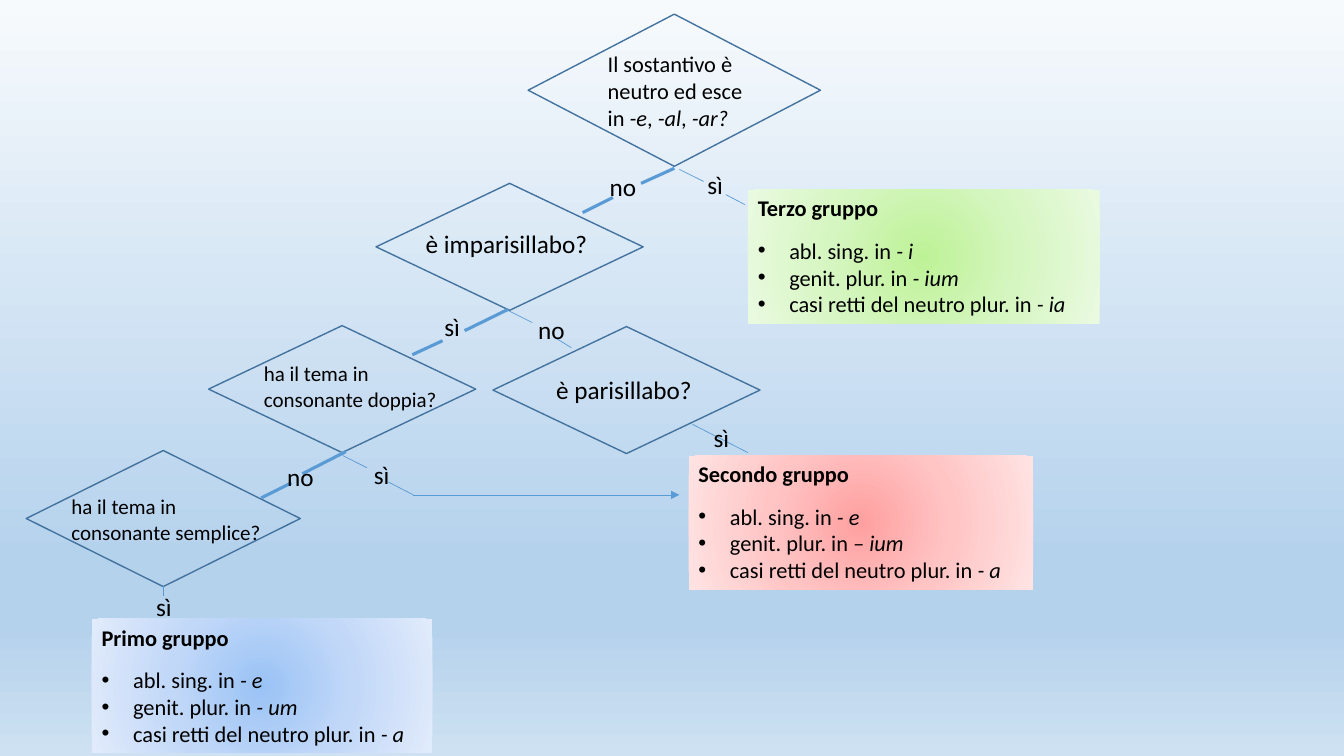
from lxml.etree import SubElement
from pptx import Presentation
from pptx.dml.color import RGBColor
from pptx.enum.shapes import MSO_CONNECTOR, MSO_SHAPE
from pptx.enum.text import MSO_ANCHOR, PP_ALIGN
from pptx.oxml.ns import qn
from pptx.util import Pt

SKY = [(0, "F7FAFD"), (74, "B5D2EC"), (83, "B5D2EC"), (100, "CEE1F2")]
EDGE, LINK, INK = "43739E", "5B9BD5", "000000"
LEFT, MID = PP_ALIGN.LEFT, PP_ALIGN.CENTER

# Text between asterisks is italic.
# diamond box, text box, size, alignment, text
TESTS = [
    ((377.3, 10.1, 208.8, 108.7), (427, 32.4, 115.9, 65.5), 16, LEFT,
     "Il sostantivo è neutro ed esce in *-e*, *-al*, *-ar?*"),
    ((268.6, 131, 190.8, 90.7), (294.5, 159.8, 134.6, 28.8), 18, MID,
     "è imparisillabo?"),
    ((352.1, 233.3, 190.8, 90.7), (380.2, 264.2, 131, 28.8), 18, MID,
     "è parisillabo?"),
    ((149, 232.6, 190.8, 90.7), (181.4, 254.2, 146.9, 43.9), 15, LEFT,
     "ha il tema in consonante doppia?"),
    ((18.7, 321.8, 195.8, 97.2), (43.9, 349.2, 162, 43.9), 15, LEFT,
     "ha il tema in consonante semplice?"),
]

REPLIES = {
    "no": [(428.4, 118.8), (377.3, 221), (198, 326.2)],
    "sì": [(498.2, 117.4), (310.3, 218.9), (502.6, 298.1),
           (259.9, 324.7), (104.4, 419)],
}

# left, top, width, title, endings, colours from the centre out
GROUPS = [
    (534.2, 135.4, 251.3, "Terzo gruppo", ("- i", "- ium", "- ia"),
     ("BEF297", "D5F6C0", "EAFAE0")),
    (491.8, 325.4, 246.2, "Secondo gruppo", ("- e", "– ium", "- a"),
     ("FFA0A0", "FFC5C5", "FFE3E3")),
    (65.5, 442.1, 243.4, "Primo gruppo", ("- e", "- um", "- a"),
     ("9AC3F5", "C2D8F8", "E1EBFB")),
]
CASES = ("abl. sing. in ", "genit. plur. in ", "casi retti del neutro plur. in ")
TALL = 95.8

THIN = [
    (502.6, 129.6, 485.3, 121), (532.1, 146.2, 518.4, 139),
    (380.2, 230.4, 362.9, 221.8), (408.2, 248.4, 395.3, 240.5),
    (494.6, 303.1, 534.2, 323.3), (262.1, 334.1, 244.8, 325.4),
    (295.2, 353.5, 277.2, 344.2), (116.6, 418.3, 116.6, 425.5),
]
THICK = [
    (437.8, 141.1, 416.2, 151.9), (481.7, 120.2, 457.9, 131),
    (362.9, 221, 331.9, 236.2), (316.1, 243.4, 294.5, 253.4),
    (247, 322.6, 216, 338.4), (208.1, 344.9, 186.5, 355.7),
]
ARROW = (295.2, 353.5, 485.3, 353.5)


def rgb(code):
    return RGBColor.from_string(code)


def points(nums):
    return [Pt(n) for n in nums]


def assign(thing, **vals):
    for key, val in vals.items():
        setattr(thing, key, val)


def blend(owner, fill, stops, round_fill):
    """Fill with a gradient of any number of stops, linear down or circular."""
    fill.gradient()
    node = owner.element.find(".//" + qn("a:gradFill"))
    for kid in list(node):
        node.remove(kid)
    row = SubElement(node, qn("a:gsLst"))
    for pos, code in stops:
        stop = SubElement(row, qn("a:gs"), pos=str(pos * 1000))
        SubElement(stop, qn("a:srgbClr"), val=code)
    if round_fill:
        ring = SubElement(node, qn("a:path"), path="circle")
        SubElement(ring, qn("a:fillToRect"), dict.fromkeys("ltrb", "50000"))
    else:
        SubElement(node, qn("a:lin"), ang="5400000", scaled="0")


def write(par, text, size, bold=False, align=LEFT):
    par.alignment = align
    for num, part in enumerate(text.split("*")):
        if part:
            run = par.add_run()
            run.text = part
            assign(run.font, name="Calibri", size=Pt(size), bold=bold,
                   italic=num % 2 == 1)
            run.font.color.rgb = rgb(INK)


def label(slide, box, text, size, align=LEFT):
    frame = slide.shapes.add_textbox(*points(box)).text_frame
    frame.word_wrap = True
    write(frame.paragraphs[0], text, size, align=align)


def diamond(slide, box):
    shape = slide.shapes.add_shape(MSO_SHAPE.DIAMOND, *points(box))
    shape.shadow.inherit = False
    shape.fill.background()
    shape.line.color.rgb = rgb(EDGE)
    shape.line.width = Pt(1)


def bullet(par):
    props = par._p.get_or_add_pPr()
    props.set("marL", str(Pt(22.5)))
    props.set("indent", str(-Pt(22.5)))
    SubElement(props, qn("a:buFont"), typeface="Arial")
    SubElement(props, qn("a:buChar"), char="•")


def group(slide, left, top, wide, title, ends, codes):
    shape = slide.shapes.add_shape(
        MSO_SHAPE.RECTANGLE, *points((left, top, wide, TALL)))
    shape.shadow.inherit = False
    blend(shape, shape.fill, zip((0, 50, 100), codes), True)
    shape.line.fill.background()
    frame = shape.text_frame
    assign(frame, word_wrap=True, vertical_anchor=MSO_ANCHOR.TOP)
    head = frame.paragraphs[0]
    write(head, title, 16, bold=True)
    head.space_after = Pt(11)
    for case, end in zip(CASES, ends):
        par = frame.add_paragraph()
        write(par, f"{case}*{end}*", 16)
        bullet(par)


def link(slide, ends, width, arrow=False):
    wire = slide.shapes.add_connector(MSO_CONNECTOR.STRAIGHT, *points(ends))
    wire.line.color.rgb = rgb(LINK)
    wire.line.width = Pt(width)
    if arrow:
        SubElement(wire.line._get_or_add_ln(), qn("a:tailEnd"), type="triangle")
    SubElement(wire.element.spPr, qn("a:effectLst"))


def main():
    deck = Presentation()
    assign(deck, slide_width=Pt(960), slide_height=Pt(540))
    slide = deck.slides.add_slide(deck.slide_layouts[6])
    blend(slide, slide.background.fill, SKY, False)
    for box, area, size, align, text in TESTS:
        diamond(slide, box)
        label(slide, area, text, size, align)
    for ends in THIN:
        link(slide, ends, 0.5)
    for ends in THICK:
        link(slide, ends, 2.25)
    link(slide, ARROW, 0.5, arrow=True)
    for word, spots in REPLIES.items():
        for left, top in spots:
            label(slide, (left, top, 36, 28.8), word, 18)
    for item in GROUPS:
        group(slide, *item)
    deck.save("out.pptx")


if __name__ == "__main__":
    main()
